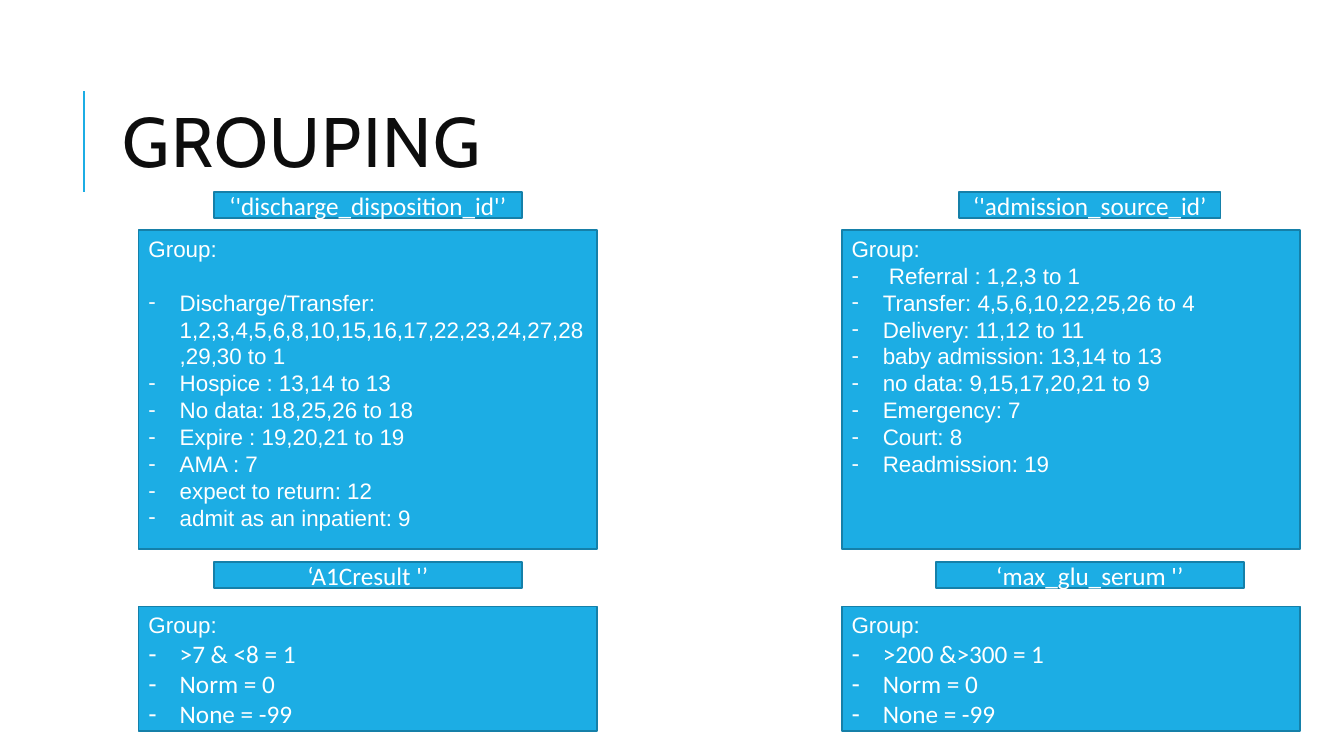
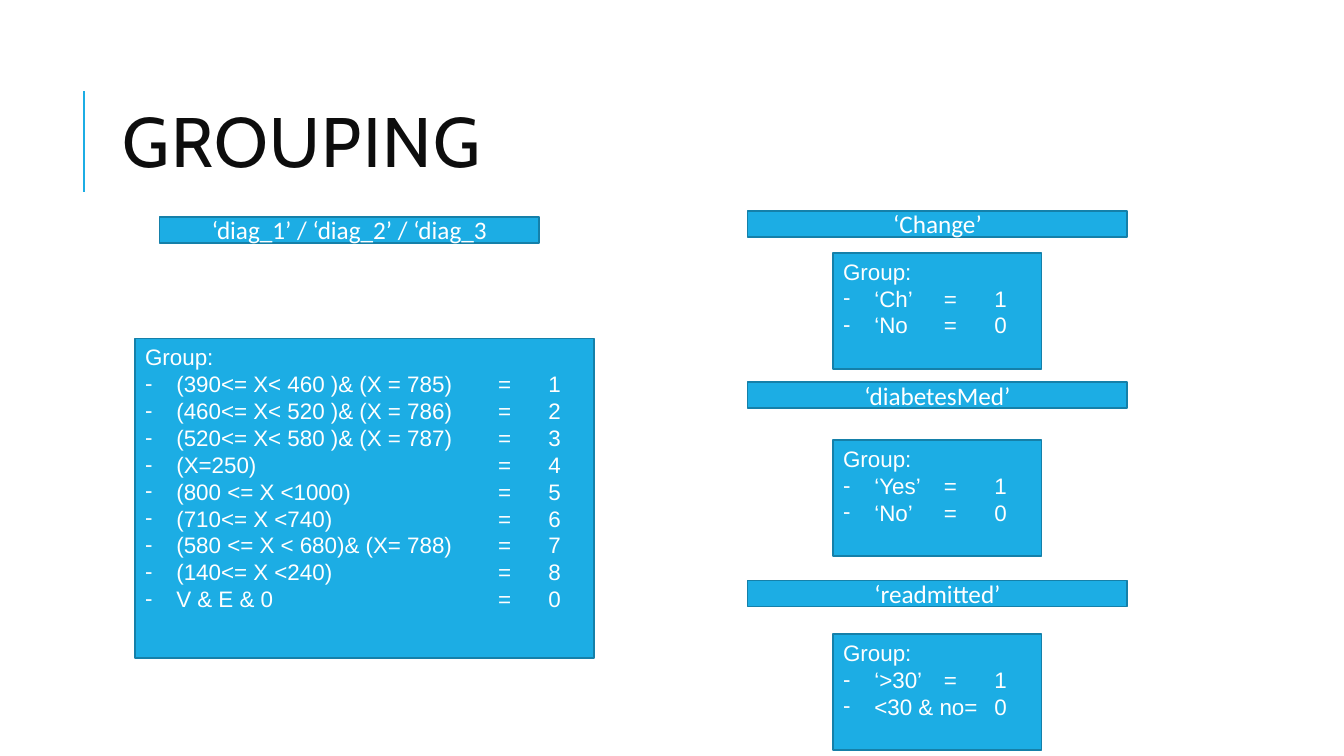
from dataclasses import dataclass

from lxml import etree
from pptx import Presentation
from pptx.dml.color import RGBColor
from pptx.enum.shapes import MSO_CONNECTOR, MSO_SHAPE
from pptx.enum.text import MSO_ANCHOR, MSO_AUTO_SIZE, PP_ALIGN
from pptx.oxml.ns import qn
from pptx.util import Inches, Pt

RECTANGLE = MSO_SHAPE.RECTANGLE
STRAIGHT = MSO_CONNECTOR.STRAIGHT
TOP, MIDDLE = MSO_ANCHOR.TOP, MSO_ANCHOR.MIDDLE
LEFT, CENTER = PP_ALIGN.LEFT, PP_ALIGN.CENTER
NO_AUTOFIT = MSO_AUTO_SIZE.NONE

WIDTH, HEIGHT = Inches(13.33), Inches(7.5)
COLUMNS, ROWS = 160, 90
TITLE_ONLY = 5


@dataclass(frozen=True)
class Theme:
    accent: RGBColor = RGBColor(0x1C, 0xAD, 0xE4)
    border: RGBColor = RGBColor(0x15, 0x80, 0xA9)
    ink: RGBColor = RGBColor(0x0D, 0x0D, 0x0D)
    white: RGBColor = RGBColor(0xFF, 0xFF, 0xFF)
    title_font: str = "Cabin"
    label_font: str = "Calibri"
    list_font: str = "Arial"
    title_size: int = 50
    label_size: int = 18
    list_size: int = 16
    pitch: float = 1.2


THEME = Theme()
LABEL_HEIGHT = 3.1
LARGE = (54.6, 38)
SHORT = (54.6, 14.8)
SMALL = (24.8, 13.8)

DISCHARGE = [
    "Discharge/Transfer: 1,2,3,4,5,6,8,10,15,16,17,22,23,24,27,28,29,30 to 1",
    "Hospice : 13,14 to 13",
    "No data: 18,25,26 to 18",
    "Expire : 19,20,21 to 19",
    "AMA : 7",
    "expect to return: 12",
    "admit as an inpatient: 9",
]
ADMISSION = [
    " Referral : 1,2,3 to 1",
    "Transfer: 4,5,6,10,22,25,26 to 4",
    "Delivery: 11,12 to 11",
    "baby admission: 13,14 to 13",
    "no data: 9,15,17,20,21 to 9",
    "Emergency: 7",
    "Court: 8",
    "Readmission: 19",
]
DIAGNOSIS = [
    "(390<= X< 460 )& (X = 785) \t=\t1",
    "(460<= X< 520 )& (X = 786) \t=\t2",
    "(520<= X< 580 )& (X = 787) \t=\t3",
    "(X=250)\t\t\t\t\t= \t4",
    "(800 <= X <1000)\t\t\t= \t5",
    "(710<= X <740)\t\t\t\t= \t6",
    "(580 <= X < 680)& (X= 788)\t= \t7",
    "(140<= X <240)\t\t\t\t= \t8",
    "V & E & 0\t\t\t\t\t= \t0",
]
RESULT_LEVELS = ["Norm = 0", "None = -99"]
FLAGS = [
    ("‘Change’", 25.1, 30.1, ["‘Ch’\t=\t1", "‘No\t=\t0"]),
    ("‘diabetesMed’", 45.5, 52.4, ["‘Yes’\t=\t1", "‘No’\t=\t0"]),
    ("‘readmitted’", 69.1, 75.5, ["‘>30’\t=\t1", "<30 & no=\t0"]),
]


def across(columns):
    return round(WIDTH * columns / COLUMNS)


def down(rows):
    return round(HEIGHT * rows / ROWS)


def write(para, text, *, font, size, color=THEME.white, align=LEFT, pitch=None, before=0):
    para.alignment = align
    para.space_before = Pt(before)
    if pitch:
        para.line_spacing = pitch
    span = para.add_run()
    span.text = text
    span.font.name = font
    span.font.size = Pt(size)
    span.font.color.rgb = color
    return span


def add_bullet(para):
    properties = para._p.get_or_add_pPr()
    properties.set("marL", str(Inches(0.31)))
    properties.set("indent", str(-Inches(0.31)))
    etree.SubElement(properties, qn("a:buFont")).set("typeface", THEME.list_font)
    etree.SubElement(properties, qn("a:buChar")).set("char", "-")


def add_box(page, center, top, width, height, anchor):
    box = page.shapes.add_shape(
        RECTANGLE, across(center - width / 2), down(top), across(width), down(height))
    box.shadow.inherit = False
    box.fill.solid()
    box.fill.fore_color.rgb = THEME.accent
    box.line.color.rgb = THEME.border
    box.line.width = Pt(1.25)
    box.text_frame.word_wrap = True
    box.text_frame.vertical_anchor = anchor
    return box.text_frame


def add_label(page, text, center, top, width):
    frame = add_box(page, center, top, width, LABEL_HEIGHT, MIDDLE)
    write(frame.paragraphs[0], text, font=THEME.label_font,
          size=THEME.label_size, align=CENTER)


def add_panel(page, items, center, top, size, *, font=THEME.list_font,
              item_size=THEME.list_size, gap=0):
    frame = add_box(page, center, top, *size, TOP)
    write(frame.paragraphs[0], "Group:", font=THEME.list_font, size=THEME.list_size,
          pitch=Pt(THEME.list_size * THEME.pitch))
    for index, item in enumerate(items):
        para = frame.add_paragraph()
        write(para, item, font=font, size=item_size,
              pitch=Pt(item_size * THEME.pitch), before=0 if index else gap)
        add_bullet(para)


def add_page(deck, heading):
    page = deck.slides.add_slide(deck.slide_layouts[TITLE_ONLY])
    rule = page.shapes.add_connector(
        STRAIGHT, across(10), down(22.8), across(10), down(10.8))
    rule.line.color.rgb = THEME.accent
    rule.line.width = Pt(1.5)
    etree.SubElement(rule._element.spPr, qn("a:effectLst"))
    title = page.shapes.title
    title.left, title.top = across(13.4), down(7.7)
    title.width, title.height = across(127.6), down(19.7)
    frame = title.text_frame
    frame.auto_size = NO_AUTOFIT
    frame.word_wrap = True
    frame.vertical_anchor = MIDDLE
    span = write(frame.paragraphs[0], heading, font=THEME.title_font,
                 size=THEME.title_size, color=THEME.ink, pitch=0.8)
    span._r.get_or_add_rPr().set("spc", "100")
    return page


def build_admission_page(deck):
    page = add_page(deck, "GROUPING")
    left, right, right_label = 43.8, 127.5, 129.75
    add_label(page, "‘'discharge_disposition_id'’", left, 22.9, 36.7)
    add_label(page, "‘'admission_source_id’", right_label, 22.9, 31.1)
    add_panel(page, DISCHARGE, left, 27.4, LARGE, gap=THEME.list_size * THEME.pitch)
    add_panel(page, ADMISSION, right, 27.4, LARGE)
    results = [
        ("‘A1Cresult '’", left, left, ">7 & <8 = 1"),
        ("‘max_glu_serum '’", right_label, right, ">200 &>300 = 1"),
    ]
    for label, label_center, center, high in results:
        add_label(page, label, label_center, 66.9, 36.7)
        add_panel(page, [high, *RESULT_LEVELS], center, 72.2, SHORT,
                  font=THEME.label_font, item_size=THEME.label_size)


def build_diagnosis_page(deck):
    page = add_page(deck, "GROUPING")
    label_width, right = 45.2, 111.6
    add_label(page, "‘diag_1’ / ‘diag_2’ / ‘diag_3", 41.6, 25.8, label_width)
    add_panel(page, DIAGNOSIS, 43.4, 40.3, LARGE)
    for label, label_top, panel_top, items in FLAGS:
        add_label(page, label, right, label_top, label_width)
        add_panel(page, items, right, panel_top, SMALL)


def main():
    deck = Presentation()
    deck.slide_width, deck.slide_height = WIDTH, HEIGHT
    build_admission_page(deck)
    build_diagnosis_page(deck)
    deck.save("out.pptx")


if __name__ == "__main__":
    main()
